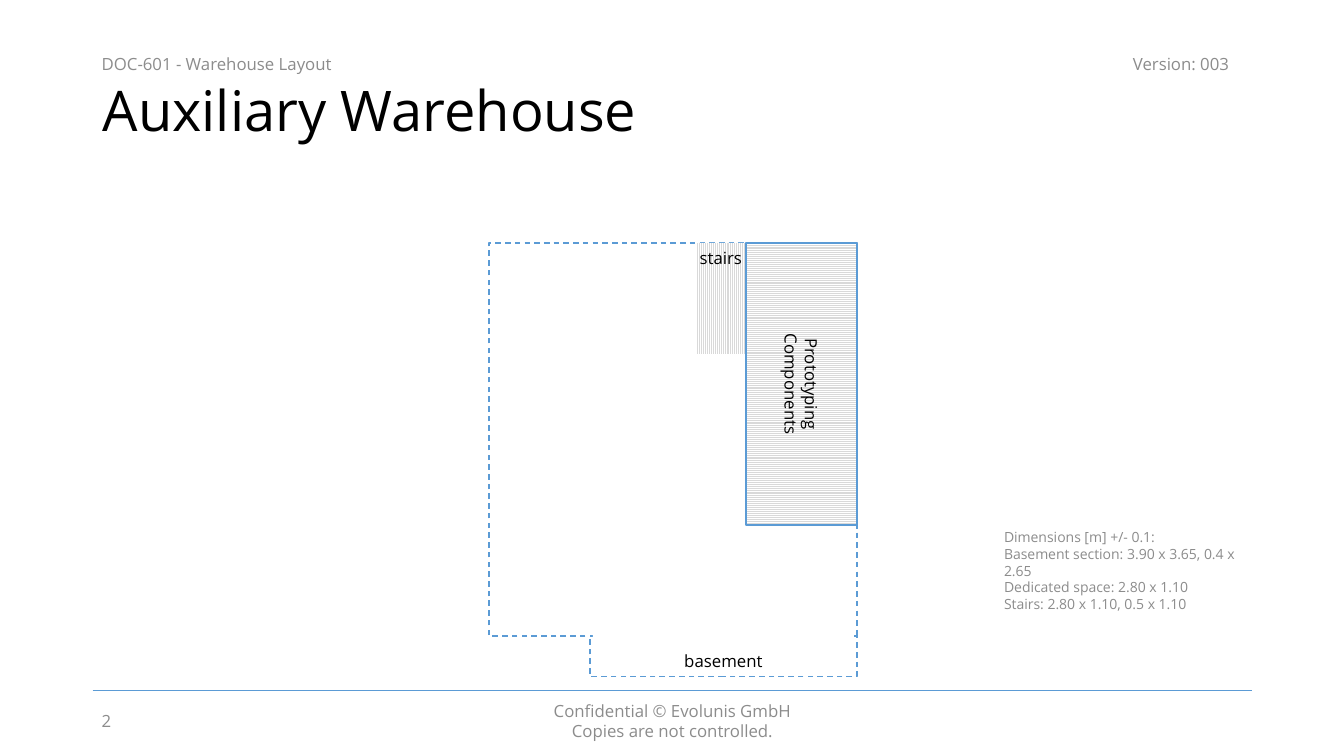
from pptx import Presentation, util as u
from pptx.dml import color
from pptx.enum import dml, shapes, text
from pptx.oxml import ns
from lxml import etree

W, H = 13.33, 7.5
BLUE, GREY, PALE, WHITE, BLACK = "5B9BD5", "8C8C8C", "D9D9D9", "FFFFFF", "000000"
LEFT, MID, RIGHT = text.PP_ALIGN.LEFT, text.PP_ALIGN.CENTER, text.PP_ALIGN.RIGHT
TOP, CORE, BASE = (text.MSO_ANCHOR.TOP, text.MSO_ANCHOR.MIDDLE,
                   text.MSO_ANCHOR.BOTTOM)
HORZ = dml.MSO_PATTERN.LIGHT_HORIZONTAL
VERT = dml.MSO_PATTERN.LIGHT_VERTICAL


def tint(code):
    """Turn a hex string into a colour."""
    return color.RGBColor.from_string(code)


def put(obj, style):
    """Set each attribute named in a dict."""
    for key, val in style.items():
        setattr(obj, key, val)


class Deck:
    """Draw on one slide; a grid column or row is one inch, or one metre of floor."""

    font = "Open Sans"
    plan = (4.85, 2.41)

    def __init__(self):
        """Open a deck with one title-only slide."""
        self.prs = Presentation()
        put(self.prs, {"slide_width": u.Inches(W), "slide_height": u.Inches(H)})
        self.slide = self.prs.slides.add_slide(self.prs.slide_layouts[5])

    def grid(self, *cells):
        """Turn grid counts into lengths."""
        return [u.Inches(n) for n in cells]

    def label(self, shape, paras, size=12, ink=GREY, align=LEFT, anchor=CORE,
              wrap=True, lead=None):
        """Fill a shape with styled paragraphs."""
        frame = shape.text_frame
        put(frame, {"word_wrap": wrap, "vertical_anchor": anchor,
                    "auto_size": text.MSO_AUTO_SIZE.NONE})
        for i, words in enumerate(paras):
            para = frame.add_paragraph() if i else frame.paragraphs[0]
            put(para, {"text": words, "alignment": align, "line_spacing": lead})
            for run in para.runs:
                put(run.font, {"name": self.font, "size": u.Pt(size)})
                run.font.color.rgb = tint(ink)

    def title(self, words, *area):
        """Place and format the title."""
        shape = self.slide.shapes.title
        put(shape, dict(zip(("left", "top", "width", "height"), self.grid(*area))))
        self.label(shape, [words], 40, BLACK, lead=0.9)

    def note(self, paras, *area, **style):
        """Add a text box."""
        self.label(self.slide.shapes.add_textbox(*self.grid(*area)), paras, **style)

    def room(self, x, y, w, h, edge=None, dash=None, fill=None, hatch=None):
        """Add a floor area, measured in metres from the plan's corner."""
        area = self.grid(self.plan[0] + x, self.plan[1] + y, w, h)
        shape = self.slide.shapes.add_shape(shapes.MSO_SHAPE.RECTANGLE, *area)
        shape.shadow.inherit = False
        if hatch:
            shape.fill.patterned()
            shape.fill.pattern = hatch
            shape.fill.fore_color.rgb = tint(PALE)
            shape.fill.back_color.rgb = tint(WHITE)
        elif fill:
            shape.fill.solid()
            shape.fill.fore_color.rgb = tint(fill)
        else:
            shape.fill.background()
        if edge:
            put(shape.line, {"width": u.Pt(1), "dash_style": dash})
            shape.line.color.rgb = tint(edge)
        else:
            shape.line.fill.background()
        return shape

    def rule(self, *ends):
        """Add a thin straight line."""
        line = self.slide.shapes.add_connector(
            shapes.MSO_CONNECTOR.STRAIGHT, *self.grid(*ends))
        line.line.width = u.Pt(0.5)
        line.line.color.rgb = tint(BLUE)
        etree.SubElement(line._element.spPr, ns.qn("a:effectLst"))


def main():
    """Build the warehouse slide."""
    deck = Deck()
    deck.rule(0.92, 6.85, 12.42, 6.85)
    deck.title("Auxiliary Warehouse", 0.92, 0.4, 11.5, 1.45)
    for words, x, y, w, align in (
            ("DOC-601 - Warehouse Layout", 0.91, 0.43, 4.5, LEFT),
            ("Version: 003", 7.79, 0.43, 4.5, RIGHT),
            ("2", 0.91, 6.95, 3, LEFT),
            ("Confidential © Evolunis GmbH\nCopies are not controlled.",
             4.42, 6.95, 4.5, MID)):
        deck.note([words], x, y, w, 0.4, align=align)
    deck.note(["Dimensions [m] +/- 0.1:\nBasement section: 3.90 x 3.65, 0.4 x 2.65",
               "Dedicated space: 2.80 x 1.10\nStairs: 2.80 x 1.10, 0.5 x 1.10"],
              9.86, 5.39, 2.56, 0.54, size=10)

    dash = dml.MSO_LINE.DASH
    style = {"ink": BLACK, "align": MID}
    deck.room(0, 0, 3.65, 3.9, BLUE, dash)
    annex = deck.room(1, 3.9, 2.65, 0.4, BLUE, dash)
    deck.room(1.03, 3.6, 2.59, 0.4, fill=WHITE)
    deck.label(annex, ["basement"], anchor=BASE, **style)
    stairs = deck.room(2.05, 0, 0.5, 1.1, hatch=VERT)
    deck.label(stairs, ["stairs"], anchor=TOP, wrap=False, **style)
    store = deck.room(2.55, 0, 1.1, 2.8, BLUE, hatch=HORZ)
    deck.label(store, ["Prototyping\nComponents"], **style)
    store.text_frame._txBody.bodyPr.set("vert", "vert")
    deck.prs.save("out.pptx")


if __name__ == "__main__":
    main()
